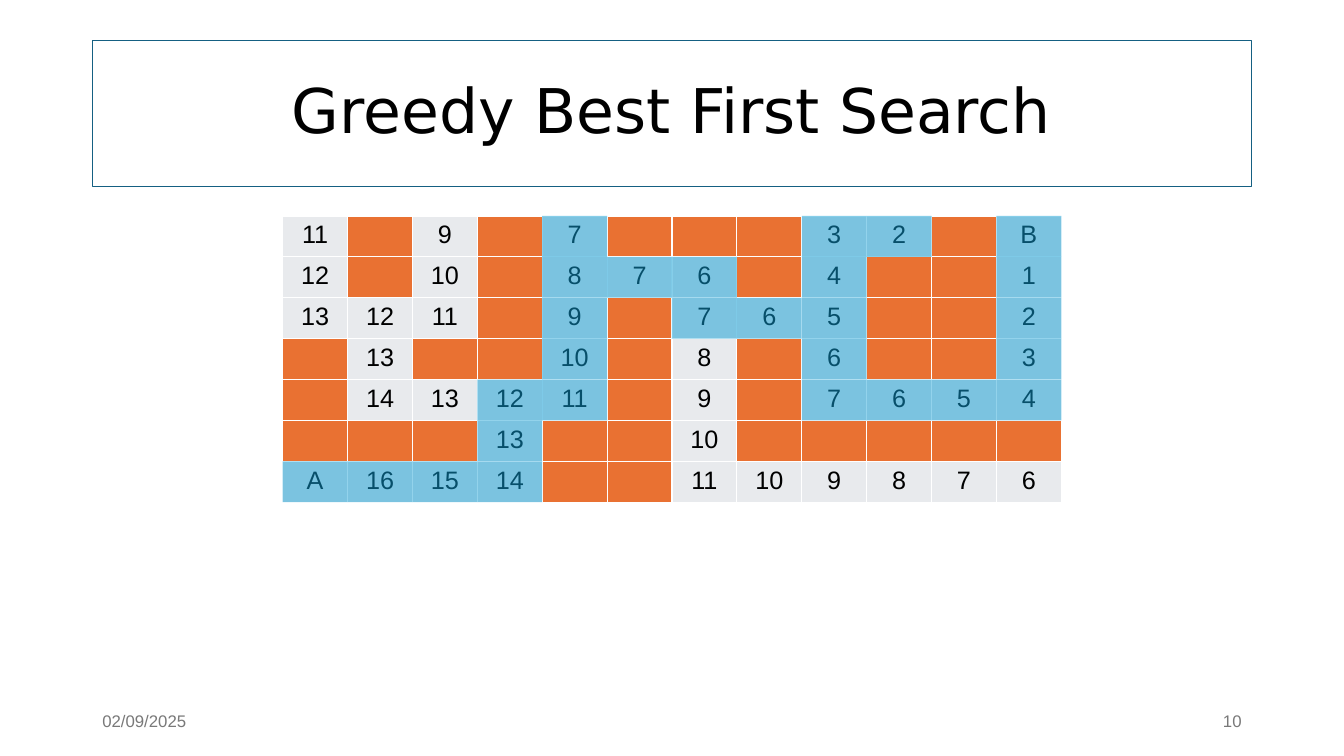
from lxml import etree
from pptx import Presentation
from pptx.dml.color import RGBColor
from pptx.enum.shapes import MSO_SHAPE
from pptx.enum.text import MSO_ANCHOR, PP_ALIGN
from pptx.oxml import parse_xml
from pptx.oxml.ns import nsdecls, qn
from pptx.util import Pt

RECTANGLE = MSO_SHAPE.RECTANGLE
MIDDLE = MSO_ANCHOR.MIDDLE
LEFT, CENTER, RIGHT = PP_ALIGN.LEFT, PP_ALIGN.CENTER, PP_ALIGN.RIGHT

# Distances to B; "#" is a wall and "*" marks a cell on the searched path.
MAZE = [row.split() for row in (
    "11 #  9  #   7*  #  #  #  3* 2* #  B*",
    "12 #  10 #   8*  7* 6* #  4* #  #  1*",
    "13 12 11 #   9*  #  7* 6* 5* #  #  2*",
    "#  13 #  #   10* #  8  #  6* #  #  3*",
    "#  14 13 12* 11* #  9  #  7* 6* 5* 4*",
    "#  #  #  13* #   #  10 #  #  #  #  #",
    "A* 16* 15* 14* # #  11 10 9  8  7  6",
)]
GRID_LEFT, GRID_TOP = 201.9, 154.3
CELL_WIDTH, CELL_HEIGHT = 46.35, 29.2


def color(hex_value):
    return RGBColor.from_string(hex_value)


def style_paragraph(paragraph, name, size, hex_value, alignment):
    paragraph.alignment = alignment
    paragraph.font.name = name
    paragraph.font.size = Pt(size)
    paragraph.font.color.rgb = color(hex_value)


presentation = Presentation()
presentation.slide_width, presentation.slide_height = Pt(960), Pt(540)
slide = presentation.slides.add_slide(presentation.slide_layouts[5])

# Title
title = slide.shapes.title
title.left, title.top, title.width, title.height = Pt(66), Pt(28.8), Pt(828), Pt(104.4)
title.line.color.rgb = color("156082")
title.line.width = Pt(0.75)
title.text_frame.text = "Greedy Best First Search"
title.text_frame.vertical_anchor = MIDDLE
title_paragraph = title.text_frame.paragraphs[0]
title_paragraph.line_spacing = 0.9
style_paragraph(title_paragraph, "DejaVu Sans", 44, "000000", CENTER)

# Maze table
row_count, column_count = len(MAZE), len(MAZE[0])
table = slide.shapes.add_table(
    row_count, column_count, Pt(GRID_LEFT), Pt(GRID_TOP),
    Pt(CELL_WIDTH * column_count), Pt(CELL_HEIGHT * row_count)).table
table.first_row = table.horz_banding = False
for column in table.columns:
    column.width = Pt(CELL_WIDTH)
for row in table.rows:
    row.height = Pt(CELL_HEIGHT)

for row_index, values in enumerate(MAZE):
    for column_index, value in enumerate(values):
        cell = table.cell(row_index, column_index)
        cell_properties = cell._tc.get_or_add_tcPr()
        for side in ("lnL", "lnR", "lnT", "lnB"):
            cell_properties.append(parse_xml(
                f'<a:{side} {nsdecls("a")} w="12700"><a:solidFill>'
                f'<a:srgbClr val="FFFFFF"/></a:solidFill></a:{side}>'))
        is_wall = value == "#"
        cell.fill.solid()
        cell.fill.fore_color.rgb = color("E97132" if is_wall else "E8EAED")
        if not is_wall:
            cell.text = value.rstrip("*")
        style_paragraph(cell.text_frame.paragraphs[0], "Arial", 18, "000000", CENTER)

# Date and slide number
for text, left, alignment in (("02/09/2025", 66, LEFT), ("10", 678, RIGHT)):
    footer = slide.shapes.add_textbox(Pt(left), Pt(500.5), Pt(216), Pt(28.8))
    footer.text_frame.word_wrap = True
    footer.text_frame.vertical_anchor = MIDDLE
    footer.text_frame.text = text
    style_paragraph(footer.text_frame.paragraphs[0], "Arial", 12, "797979", alignment)

# Translucent highlights along the path
for row_index, values in enumerate(MAZE):
    for column_index, value in enumerate(values):
        if not value.endswith("*"):
            continue
        highlight = slide.shapes.add_shape(
            RECTANGLE, Pt(GRID_LEFT + column_index * CELL_WIDTH),
            Pt(GRID_TOP + row_index * CELL_HEIGHT), Pt(CELL_WIDTH), Pt(CELL_HEIGHT))
        highlight.shadow.inherit = False
        highlight.line.fill.background()
        highlight.fill.solid()
        highlight.fill.fore_color.rgb = color("0F9ED5")
        fill_color = highlight._element.spPr.find(qn("a:solidFill"))[0]
        etree.SubElement(fill_color, qn("a:alpha"), val="50000")

presentation.save("out.pptx")
